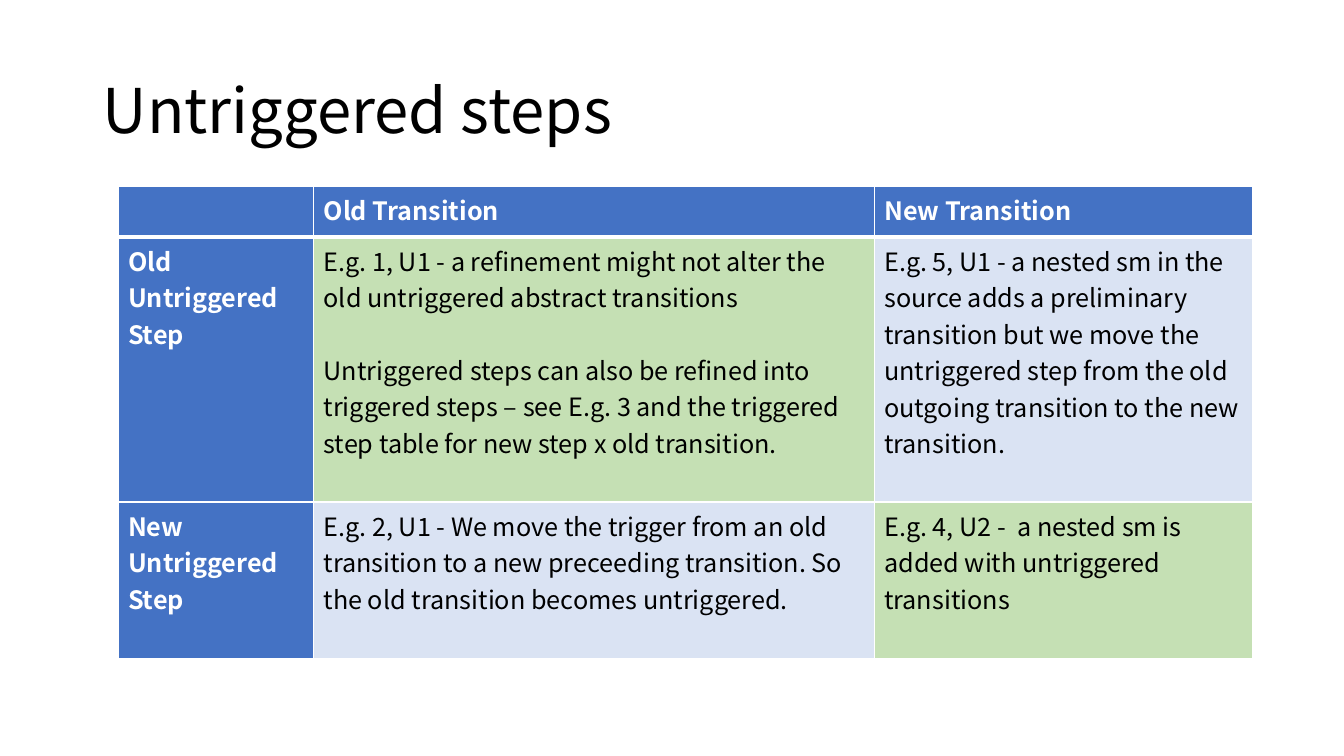
"""Build the slide that compares old and new untriggered steps and transitions."""
from lxml.etree import fromstring
from pptx import Presentation
from pptx.dml.color import RGBColor
from pptx.enum.text import MSO_ANCHOR
from pptx.oxml.ns import nsdecls
from pptx.util import Inches, Pt

FONT = "Noto Sans CJK SC"
BLUE, GREEN, PALE = "4472C4", "C5E0B4", "DAE3F3"
WHITE, BLACK = "FFFFFF", "000000"
COLUMN_WIDTHS = [1.94, 5.56, 3.75]
ROW_HEIGHTS = [0.5, 2.63, 1.55]
STEPS = [
    ["", "Old Transition", "New Transition"],
    [
        "Old Untriggered Step",
        "E.g. 1, U1 - a refinement might not alter the old untriggered abstract transitions\n"
        "Untriggered steps can also be refined into triggered steps – see E.g. 3 and the "
        "triggered step table for new step x old transition.",
        "E.g. 5, U1 - a nested sm in the source adds a preliminary transition but we move the "
        "untriggered step from the old outgoing transition to the new transition.",
    ],
    [
        "New Untriggered Step",
        "E.g. 2, U1 - We move the trigger from an old transition to a new preceeding "
        "transition. So the old transition becomes untriggered.",
        "E.g. 4, U2 -  a nested sm is added with untriggered transitions",
    ],
]


def style(font, size, color, bold=False):
    font.name, font.size, font.bold = FONT, Pt(size), bold
    font.color.rgb = RGBColor.from_string(color)


def add_borders(cell, widths):
    for index, (side, width) in enumerate(widths.items()):
        border = fromstring(
            f'<a:ln{side} {nsdecls("a")} w="{Pt(width)}"><a:solidFill>'
            f'<a:srgbClr val="{WHITE}"/></a:solidFill></a:ln{side}>'
        )
        cell._tc.get_or_add_tcPr().insert(index, border)


prs = Presentation()
prs.slide_width, prs.slide_height = Inches(13.33), Inches(7.5)
slide = prs.slides.add_slide(prs.slide_layouts[6])

title = slide.shapes.add_textbox(Inches(0.92), Inches(0.4), Inches(11.5), Inches(1.45)).text_frame
title.word_wrap = True
title.vertical_anchor = MSO_ANCHOR.MIDDLE
title.text = "Untriggered steps"
title.paragraphs[0].line_spacing = 0.9
style(title.paragraphs[0].runs[0].font, 44, BLACK)

table = slide.shapes.add_table(
    len(ROW_HEIGHTS), len(COLUMN_WIDTHS), Inches(1.17), Inches(1.85),
    Inches(sum(COLUMN_WIDTHS)), Inches(sum(ROW_HEIGHTS)),
).table
for column, width in zip(table.columns, COLUMN_WIDTHS):
    column.width = Inches(width)
for row, height in zip(table.rows, ROW_HEIGHTS):
    row.height = Inches(height)

for r, texts in enumerate(STEPS):
    for c, text in enumerate(texts):
        cell = table.cell(r, c)
        heading = r == 0 or c == 0
        fill = BLUE if heading else GREEN if r == c else PALE
        cell.fill.solid()
        cell.fill.fore_color.rgb = RGBColor.from_string(fill)
        add_borders(cell, {"L": 1, "R": 1, "T": 3 if r == 1 else 1, "B": 3 if r == 0 else 1})
        cell.text_frame.text = text
        for index, paragraph in enumerate(cell.text_frame.paragraphs):
            if index:
                paragraph.space_before = Pt(26)
            style(paragraph.font, 18, WHITE if heading else BLACK, heading)
            for run in paragraph.runs:
                style(run.font, 18, WHITE if heading else BLACK, heading)

prs.save("out.pptx")
